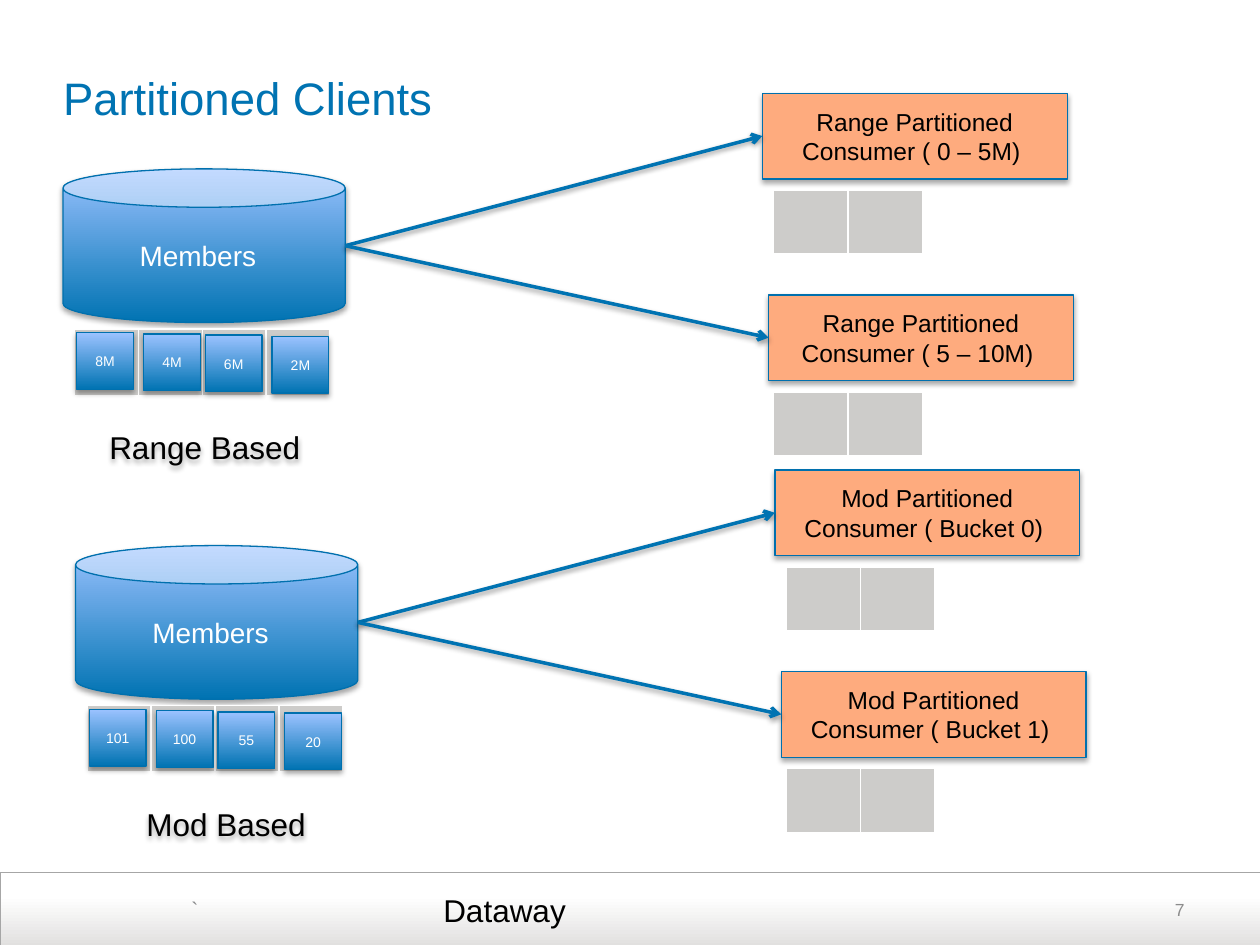
from lxml import etree
from pptx import Presentation
from pptx import util as u
from pptx.dml.color import RGBColor
from pptx.enum import shapes, text
from pptx.oxml.ns import qn

HUES = {
    "blue": "0073B2", "sky": "9BC2FF", "edge": "0070AE", "peach": "FEAB7E",
    "cell": "CDCCCA", "white": "FFFFFF", "black": "000000", "bar": "E1E0DF",
    "rim": "A6A6A6", "tick": "88898B", "page": "8C8C8C",
}
SHIFT = (0.1, 2.99)  # from the range example to the mod example
KIND = shapes.MSO_SHAPE
ALIGN = text.PP_ALIGN
MID = text.MSO_ANCHOR.MIDDLE


def rgb(name):
    return RGBColor.from_string(HUES[name])


def inch(*nums):
    return [u.Inches(n) for n in nums]


def write(shape, words, size, hue, align=ALIGN.CENTER, anchor=MID,
          pad=(0.1, 0.1)):
    frame = shape.text_frame
    frame.word_wrap = True
    frame.vertical_anchor = anchor
    frame.margin_left, frame.margin_right = inch(*pad)
    frame.margin_top = frame.margin_bottom = u.Inches(0.05)
    frame.text = words
    para = frame.paragraphs[0]
    para.alignment = align
    para.font.name = "Arial"
    para.font.size = u.Pt(size)
    para.font.color.rgb = rgb(hue)
    return para


def shade(shape, alpha=35, dist=1.8):
    """Give a soft shadow straight below; call after the line is set."""
    props = shape._element.spPr
    for old in props.findall(qn("a:effectLst")):
        props.remove(old)
    fx = etree.SubElement(props, qn("a:effectLst"))
    drop = etree.SubElement(
        fx, qn("a:outerShdw"), blurRad=str(u.Pt(3.1)), dist=str(u.Pt(dist)),
        dir="5400000", rotWithShape="0")
    tone = etree.SubElement(drop, qn("a:srgbClr"), val=HUES["black"])
    etree.SubElement(tone, qn("a:alpha"), val=str(alpha * 1000))


def blend(shape, low, high, stop=1.0):
    """Fill with a gradient that rises from low to high."""
    shape.fill.gradient()
    shape.fill.gradient_angle = 90
    first, last = shape.fill.gradient_stops
    first.color.rgb, last.color.rgb = rgb(low), rgb(high)
    first.position, last.position = 0, stop


def block(slide, kind, box, fill=None):
    """Add an edged shape: plain fill if named, else the blue gradient."""
    shape = slide.shapes.add_shape(kind, *inch(*box))
    if fill:
        shape.fill.solid()
        shape.fill.fore_color.rgb = rgb(fill)
    else:
        blend(shape, "blue", "sky")
    shape.line.color.rgb = rgb("edge")
    shape.line.width = u.Pt(0.75)
    shade(shape)
    return shape


def strip(slide, box, count):
    """Add a one-row table of empty grey cells with white borders."""
    table = slide.shapes.add_table(1, count, *inch(*box)).table
    table.first_row = table.horz_banding = False
    for cell in table.iter_cells():
        cell.fill.solid()
        cell.fill.fore_color.rgb = rgb("cell")
        props = cell._tc.get_or_add_tcPr()
        for spot, (side, wide) in enumerate(
                [("L", 1), ("R", 1), ("T", 1), ("B", 3)]):
            line = etree.Element(qn("a:ln" + side), w=str(u.Pt(wide)))
            fill = etree.SubElement(line, qn("a:solidFill"))
            etree.SubElement(fill, qn("a:srgbClr"), val=HUES["white"])
            props.insert(spot, line)


def arrow(slide, start, goal):
    """Draw an arrow from a point to the left side of a box."""
    line = slide.shapes.add_connector(
        shapes.MSO_CONNECTOR.STRAIGHT, *inch(*start, *start))
    line.end_connect(goal, 1)
    line.line.color.rgb = rgb("blue")
    line.line.width = u.Pt(2)
    stroke = line._element.spPr.find(qn("a:ln"))
    etree.SubElement(stroke, qn("a:tailEnd"), type="arrow")
    shade(line, 38, 1.6)


def label(slide, box, words, size, hue, align=ALIGN.CENTER, **more):
    shape = slide.shapes.add_textbox(*inch(*box))
    write(shape, words, size, hue, align, **more)
    return shape


def scheme(slide, dx, dy, keys, users, name, left):
    """Draw one store, its key row and its two consumers."""
    # Store
    can = block(slide, KIND.CAN, (0.5 + dx, 1.34 + dy, 2.24, 1.22))
    para = write(can, "Members", 16, "white", pad=(0, 0.1))
    para.space_before = u.Pt(3.2)

    # Keys on their partitions
    strip(slide, (0.59 + dx, 2.61 + dy, 2.03, 0.54), len(keys))
    for i, (key, x) in enumerate(zip(keys, (0.61, 1.14, 1.63, 2.16))):
        tile = block(slide, KIND.RECTANGLE,
                     (x + dx, 2.64 + 0.01 * i + dy, 0.45, 0.45))
        write(tile, key, 8, "white")

    # Consumers
    for i, user in enumerate(users):
        top = 0.74 + 1.6 * i + dy
        box = block(slide, KIND.RECTANGLE,
                    (6.05 + 0.05 * i + dx, top, 2.42, 0.68), "peach")
        write(box, user, 14, "black")
        strip(slide, (6.14 + dx, top + 0.77, 1.18, 0.52), 2)
        arrow(slide, (2.74 + dx, 1.95 + dy), box)

    # Caption
    shade(label(slide, (left, 3.32 + dy, 1.97, 0.45), name, 18, "black"))


def footer(slide):
    bar = slide.shapes.add_shape(KIND.RECTANGLE, *inch(0, 6.92, 10, 0.59))
    bar.shadow.inherit = False
    blend(bar, "bar", "white", 0.68)
    bar.line.color.rgb = rgb("rim")
    bar.line.width = u.Pt(0.25)
    top = text.MSO_ANCHOR.TOP
    label(slide, (1.52, 7.07, 3.1, 0.34), "`", 12, "tick", ALIGN.LEFT,
          anchor=top, pad=(0, 0.1))
    label(slide, (3.42, 7.02, 3.17, 0.4), "Dataway", 18, "black", ALIGN.LEFT,
          anchor=top)
    label(slide, (7.17, 7.02, 2.33, 0.4), "7", 10, "page", ALIGN.RIGHT)


def main():
    deck = Presentation()
    deck.slide_width, deck.slide_height = inch(10, 7.5)
    slide = deck.slides.add_slide(deck.slide_layouts[5])
    footer(slide)

    # Title
    title = slide.shapes.title
    title.left, title.top, title.width, title.height = inch(0.5, 0.22, 9, 1.1)
    write(title, "Partitioned Clients", 26, "blue", ALIGN.LEFT, pad=(0, 0))

    # The two ways to partition
    scheme(slide, 0, 0, ("8M", "4M", "6M", "2M"),
           ("Range Partitioned Consumer ( 0 – 5M) ",
            "Range Partitioned Consumer ( 5 – 10M) "), "Range Based", 0.64)
    scheme(slide, *SHIFT, ("101", "100", "55", "20"),
           ("Mod Partitioned Consumer ( Bucket 0) ",
            "Mod Partitioned Consumer ( Bucket 1) "), "Mod Based", 0.81)
    deck.save("out.pptx")


if __name__ == "__main__":
    main()
